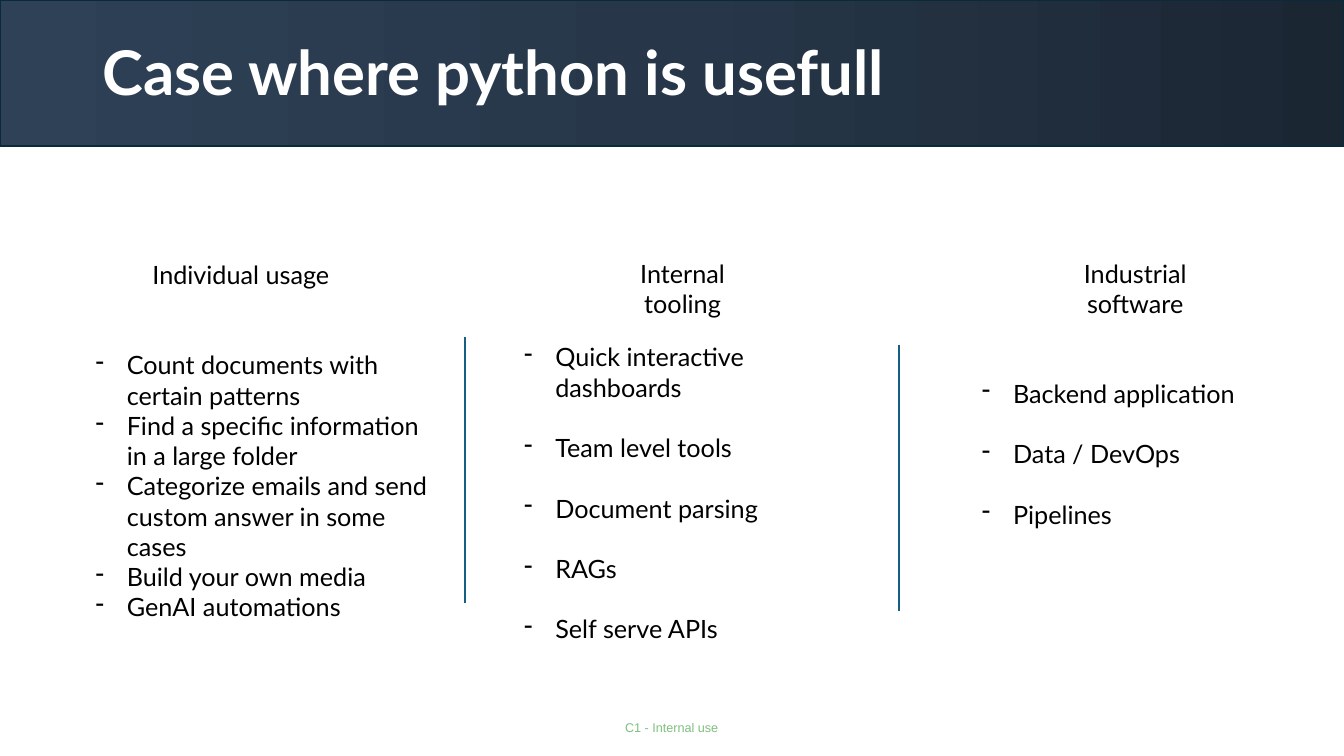
from copy import deepcopy
from dataclasses import dataclass

from lxml import etree
from pptx import Presentation
from pptx import util as u
from pptx.dml.color import RGBColor
from pptx.enum import shapes, text
from pptx.oxml.ns import qn

EMU_PER_PX = 9144


@dataclass(frozen=True)
class Theme:
    font: str = "Lato"
    footer_font: str = "Arial"
    title_size: int = 44
    body_size: int = 18
    footer_size: int = 9
    line_width: float = 1.5
    item_gap: float = 21.6
    white: str = "FFFFFF"
    black: str = "000000"
    footer: str = "008000"
    divider: str = "156082"
    banner_line: str = "092A39"
    banner_stops: tuple[tuple[float, str], ...] = (
        (0, "1B2633"), (0.5, "273749"), (1, "2E4157"))


@dataclass(frozen=True)
class Box:
    left: int
    top: int
    width: int
    height: int


@dataclass(frozen=True)
class Column:
    heading: str
    heading_box: Box
    heading_wraps: bool
    items: tuple[str, ...]
    items_box: Box
    gap: float


@dataclass(frozen=True)
class Divider:
    x: int
    top: int
    height: int = 264


THEME = Theme()

COLUMNS = (
    Column("Individual usage", Box(141, 252, 196, 40), False,
           ("Count documents with certain patterns",
            "Find a specific information in a large folder",
            "Categorize emails and send custom answer in some cases",
            "Build your own media",
            "GenAI automations"),
           Box(85, 342, 356, 283), 0),
    Column("Internal tooling", Box(597, 251, 160, 40), True,
           ("Quick interactive dashboards", "Team level tools",
            "Document parsing", "RAGs", "Self serve APIs"),
           Box(510, 334, 356, 313), THEME.item_gap),
    Column("Industrial software", Box(1036, 251, 180, 40), True,
           ("Backend application", "Data / DevOps", "Pipelines"),
           Box(964, 370, 356, 162), THEME.item_gap),
)
DIVIDERS = (Divider(461, 334), Divider(892, 342))


def px(length: int) -> u.Emu:
    return u.Emu(length * EMU_PER_PX)


def frame(box: Box) -> tuple[u.Emu, ...]:
    return px(box.left), px(box.top), px(box.width), px(box.height)


def add_dash(paragraph) -> None:
    properties = paragraph._p.get_or_add_pPr()
    properties.set("marL", str(px(31)))
    properties.set("indent", str(px(-31)))
    etree.SubElement(properties, qn("a:buChar")).set("char", "-")


def add_text(slide, box: Box, lines: tuple[str, ...], *, size: int = THEME.body_size,
             color: str = THEME.black, font: str = THEME.font, bold: bool = False,
             align=text.PP_ALIGN.LEFT, anchor=text.MSO_ANCHOR.TOP, wrap: bool = True,
             dashed: bool = False, gap: float = 0, line_spacing: float = 1.0,
             inset: bool = True):
    shape = slide.shapes.add_textbox(*frame(box))
    text_frame = shape.text_frame
    text_frame.word_wrap = wrap
    text_frame.vertical_anchor = anchor
    if not inset:
        text_frame.margin_left = text_frame.margin_right = 0
        text_frame.margin_top = text_frame.margin_bottom = 0
    for index, line in enumerate(lines):
        paragraph = text_frame.add_paragraph() if index else text_frame.paragraphs[0]
        paragraph.alignment = align
        paragraph.line_spacing = line_spacing
        paragraph.space_before = u.Pt(gap if index else 0)
        if dashed:
            add_dash(paragraph)
        run = paragraph.add_run()
        run.text = line
        run.font.name = font
        run.font.size = u.Pt(size)
        run.font.bold = bold
        run.font.color.rgb = RGBColor.from_string(color)
    return shape


def add_banner(slide, box: Box) -> None:
    shape = slide.shapes.add_shape(shapes.MSO_SHAPE.RECTANGLE, *frame(box))
    shape.shadow.inherit = False
    shape.fill.gradient()
    shape.fill.gradient_angle = 180
    stop_list = shape._element.spPr.find(".//" + qn("a:gsLst"))
    stop_list.append(deepcopy(stop_list[0]))
    for stop, (position, color) in zip(shape.fill.gradient_stops, THEME.banner_stops):
        stop.position = position
        stop.color.rgb = RGBColor.from_string(color)
    shape.line.color.rgb = RGBColor.from_string(THEME.banner_line)
    shape.line.width = u.Pt(THEME.line_width)


def add_divider(slide, divider: Divider) -> None:
    connector = slide.shapes.add_connector(
        shapes.MSO_CONNECTOR.STRAIGHT, px(divider.x), px(divider.top),
        px(divider.x), px(divider.top + divider.height))
    connector.line.color.rgb = RGBColor.from_string(THEME.divider)
    connector.line.width = u.Pt(THEME.line_width)
    etree.SubElement(connector._element.spPr, qn("a:effectLst"))


def add_footer(slide) -> None:
    shape = add_text(slide, Box(620, 714, 96, 15), ("C1 - Internal use",),
                     size=THEME.footer_size, color=THEME.footer,
                     font=THEME.footer_font, wrap=False, inset=False)
    color = shape._element.find(".//" + qn("a:srgbClr"))
    etree.SubElement(color, qn("a:alpha")).set("val", "50000")


def add_column(slide, column: Column) -> None:
    add_text(slide, column.heading_box, (column.heading,),
             align=text.PP_ALIGN.CENTER, wrap=column.heading_wraps)
    add_text(slide, column.items_box, column.items, dashed=True, gap=column.gap)


def main() -> None:
    presentation = Presentation()
    presentation.slide_width = px(1333)
    presentation.slide_height = px(750)
    slide = presentation.slides.add_slide(presentation.slide_layouts[6])
    add_footer(slide)
    add_banner(slide, Box(0, 0, 1333, 145))
    add_text(slide, Box(92, 2, 1241, 145), ("Case where python is usefull",),
             size=THEME.title_size, color=THEME.white, bold=True,
             anchor=text.MSO_ANCHOR.MIDDLE, line_spacing=0.9)
    for divider in DIVIDERS:
        add_divider(slide, divider)
    for column in COLUMNS:
        add_column(slide, column)
    presentation.save("out.pptx")


if __name__ == "__main__":
    main()
